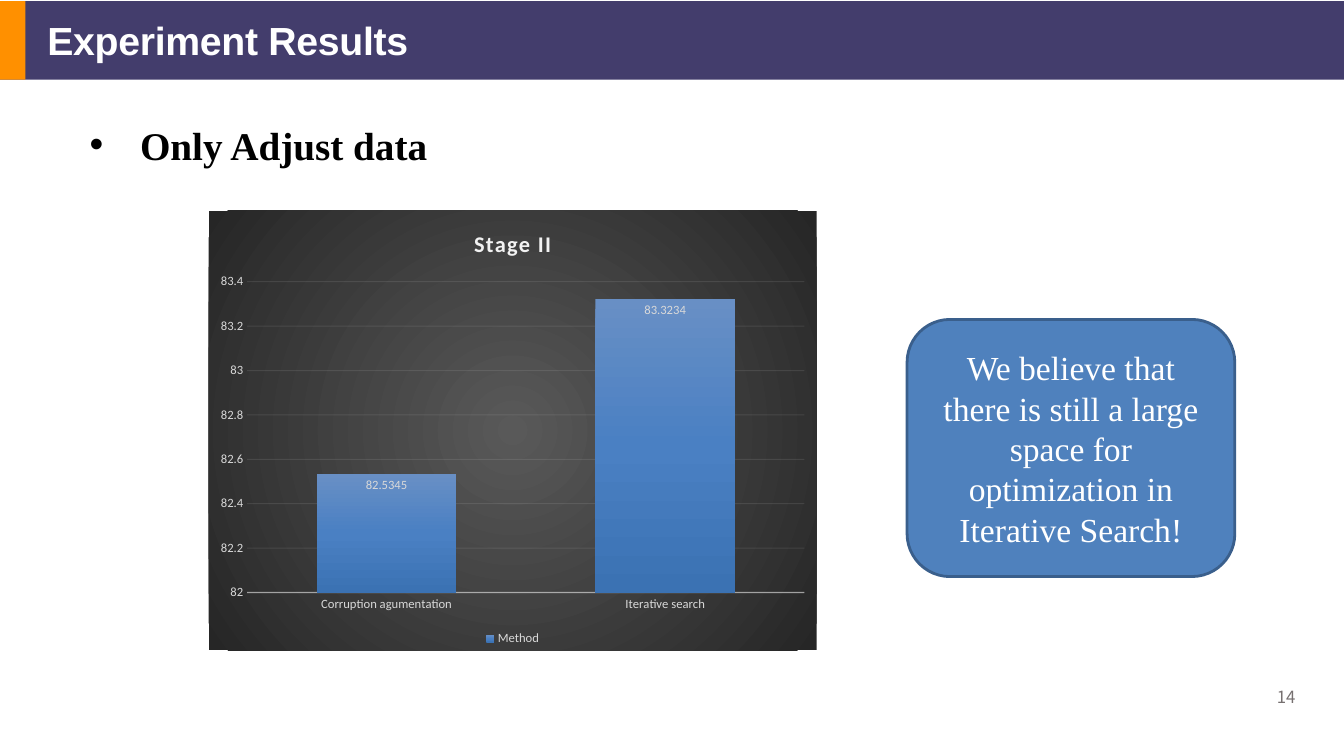
from dataclasses import dataclass

from pptx import Presentation, oxml, util as u
from pptx.chart.data import CategoryChartData
from pptx.dml.color import RGBColor
from pptx.enum import chart as charts, shapes, text
from pptx.oxml import ns


@dataclass(frozen=True)
class Theme:
    """Colours, fonts and type sizes of the slide."""
    bar: str = "433D6C"
    accent: str = "FF9000"
    white: str = "FFFFFF"
    black: str = "000000"
    page: str = "767070"
    callout: str = "4F81BD"
    callout_edge: str = "3A5F8C"
    chart_text: str = "D9D9D9"
    chart_bright: str = "F2F2F2"
    chart_back: tuple = ((0, "595959"), (100, "262626"))
    column: tuple = ((0, "688FC5"), (50, "4A80C3"), (100, "3B72B3"))
    heading_font: str = "Arial"
    body_font: str = "Times New Roman"
    chart_font: str = "Calibri"
    page_font: str = "Noto Sans CJK SC"
    heading_size: int = 28
    callout_size: int = 24
    chart_title_size: int = 16
    page_size: int = 12
    label_size: int = 9


THEME = Theme()


@dataclass(frozen=True)
class Box:
    """A rectangle in centimetres."""
    left: float
    top: float
    width: float
    height: float

    def lengths(self):
        """Return left, top, width and height as lengths."""
        return [u.Cm(value) for value in (self.left, self.top, self.width, self.height)]


def style_font(font, name, size, color, bold=False):
    """Set the face, size, colour and weight of a font."""
    font.name, font.size, font.bold = name, u.Pt(size), bold
    font.color.rgb = RGBColor.from_string(color)


def add_run(paragraph, words, *style):
    """Add one styled run to a paragraph."""
    run = paragraph.add_run()
    run.text = words
    style_font(run.font, *style)
    return run


def add_panel(slide, kind, box, color):
    """Add a plain filled shape without outline or shadow."""
    shape = slide.shapes.add_shape(kind, *box.lengths())
    shape.shadow.inherit = False
    shape.fill.solid()
    shape.fill.fore_color.rgb = RGBColor.from_string(color)
    shape.line.fill.background()
    return shape


def gradient(stops, direction):
    """Build a gradient fill element from stops and a direction element."""
    marks = "".join(f'<a:gs pos="{place * 1000}"><a:srgbClr val="{color}"/></a:gs>'
                    for place, color in stops)
    return oxml.parse_xml(f'<a:gradFill {ns.nsdecls("a")} rotWithShape="1">'
                          f'<a:gsLst>{marks}</a:gsLst>{direction}</a:gradFill>')


def style_line(line, color, width, opacity):
    """Give a line a translucent colour."""
    line.width = u.Pt(width)
    line.color.rgb = RGBColor.from_string(color)
    swatch = line.fill._xPr.find(".//" + ns.qn("a:srgbClr"))
    oxml.parse_xml
    swatch.append(oxml.parse_xml(f'<a:alpha {ns.nsdecls("a")} val="{opacity * 1000}"/>'))


def add_header(slide, box, words):
    """Draw the header bar with its accent and place the title on it."""
    rectangle = shapes.MSO_SHAPE.RECTANGLE
    add_panel(slide, rectangle, box, THEME.bar)
    add_panel(slide, rectangle, Box(box.left, box.top, 0.64, box.height), THEME.accent)
    title = slide.shapes.title
    title.element.getparent().append(title.element)
    title.left, title.top, title.width, title.height = Box(
        box.left + 0.94, box.top + 0.25, 24.71, box.height - 0.53).lengths()
    frame = title.text_frame
    frame.vertical_anchor = text.MSO_ANCHOR.TOP
    frame.auto_size = text.MSO_AUTO_SIZE.NONE
    paragraph = frame.paragraphs[0]
    paragraph.alignment = text.PP_ALIGN.LEFT
    paragraph.space_before = u.Pt(1)
    run = add_run(paragraph, words, THEME.heading_font, THEME.heading_size, THEME.white, True)
    run.font._element.set("spc", "-20")


def add_bullet(slide, box, words):
    """Add the bulleted heading."""
    frame = slide.shapes.add_textbox(*box.lengths()).text_frame
    frame.word_wrap = True
    paragraph = frame.paragraphs[0]
    add_run(paragraph, words, THEME.body_font, THEME.heading_size, THEME.black, True)
    properties = paragraph._p.get_or_add_pPr()
    properties.set("marL", str(u.Cm(1.27)))
    properties.set("indent", str(u.Cm(-1.27)))
    for mark in ('buFont {} typeface="Arial"', 'buChar {} char="•"'):
        properties.append(oxml.parse_xml(f'<a:{mark.format(ns.nsdecls("a"))}/>'))


def style_axis(axis):
    """Remove tick marks and style the labels of an axis."""
    axis.major_tick_mark = axis.minor_tick_mark = charts.XL_TICK_MARK.NONE
    style_font(axis.tick_labels.font, THEME.chart_font, THEME.label_size, THEME.chart_text)


def add_result_chart(slide, box, heading, series_name, results):
    """Add the column chart that compares the methods."""
    data = CategoryChartData()
    data.categories = list(results)
    data.add_series(series_name, list(results.values()))
    chart = slide.shapes.add_chart(
        charts.XL_CHART_TYPE.COLUMN_CLUSTERED, *box.lengths(), data).chart
    style_font(chart.font, THEME.chart_font, 10, THEME.black)
    backdrop = oxml.parse_xml(f'<c:spPr {ns.nsdecls("c", "a")}/>')
    backdrop.append(gradient(THEME.chart_back, '<a:path path="circle"><a:fillToRect '
                             'l="50000" t="50000" r="50000" b="50000"/></a:path>'))
    backdrop.append(oxml.parse_xml(f'<a:ln {ns.nsdecls("a")}><a:noFill/></a:ln>'))
    chart._chartSpace.find(ns.qn("c:chart")).addnext(backdrop)

    chart.has_title = True
    title_run = add_run(chart.chart_title.text_frame.paragraphs[0], heading, THEME.chart_font,
                        THEME.chart_title_size, THEME.chart_bright, True)
    title_run.font._element.set("spc", "100")
    chart.chart_title.include_in_layout = False
    chart.has_legend = True
    chart.legend.position = charts.XL_LEGEND_POSITION.BOTTOM
    chart.legend.include_in_layout = False
    style_font(chart.legend.font, THEME.chart_font, THEME.label_size, THEME.chart_text)

    style_axis(chart.category_axis)
    style_line(chart.category_axis.format.line, THEME.chart_bright, 1, 54)
    values = chart.value_axis
    style_axis(values)
    values.minimum_scale, values.maximum_scale, values.major_unit = 82, 83.4, 0.2
    values.format.line.fill.background()
    style_line(values.major_gridlines.format.line, THEME.chart_bright, 0.75, 10)

    plot = chart.plots[0]
    plot.vary_by_categories = False
    plot.gap_width, plot.overlap = 100, -24
    series = plot.series[0]
    series.format.line.fill.background()
    series._element.get_or_add_spPr().insert(
        0, gradient(THEME.column, '<a:lin ang="5400000" scaled="0"/>'))
    labels = series.data_labels
    labels.show_value = True
    labels.position = charts.XL_LABEL_POSITION.INSIDE_END
    style_font(labels.font, THEME.chart_font, THEME.label_size, THEME.chart_text)


def add_callout(slide, box, words):
    """Add the rounded box with the conclusion."""
    callout = add_panel(slide, shapes.MSO_SHAPE.ROUNDED_RECTANGLE, box, THEME.callout)
    callout.line.color.rgb = RGBColor.from_string(THEME.callout_edge)
    callout.line.width = u.Pt(2)
    frame = callout.text_frame
    frame.word_wrap = True
    frame.vertical_anchor = text.MSO_ANCHOR.MIDDLE
    paragraph = frame.paragraphs[0]
    paragraph.alignment = text.PP_ALIGN.CENTER
    add_run(paragraph, words, THEME.body_font, THEME.callout_size, THEME.white)


def add_page_number(slide, box, number):
    """Add the page number."""
    frame = slide.shapes.add_textbox(*box.lengths()).text_frame
    frame.word_wrap = True
    frame.margin_left, frame.margin_top = u.Cm(0.1), u.Cm(0.08)
    frame.margin_right = frame.margin_bottom = 0
    paragraph = frame.paragraphs[0]
    paragraph.space_before = u.Pt(1.9)
    add_run(paragraph, number, THEME.page_font, THEME.page_size, THEME.page)


def main():
    """Build the slide and save it."""
    presentation = Presentation()
    presentation.slide_width, presentation.slide_height = u.Cm(33.87), u.Cm(19.05)
    slide = presentation.slides.add_slide(presentation.slide_layouts.get_by_name("Title Only"))
    add_header(slide, Box(0, 0.03, 33.87, 1.98), "Experiment Results")
    add_page_number(slide, Box(32.08, 17.22, 0.89, 0.58), "14")
    add_bullet(slide, Box(2.01, 2.92, 26.77, 1.45), "Only Adjust data")
    add_result_chart(slide, Box(5.26, 5.31, 15.32, 11.07), "Stage II", "Method",
                     {"Corruption agumentation": 82.5345, "Iterative search": 83.3234})
    add_callout(slide, Box(22.86, 8.05, 8.26, 6.48), "We believe that there is still a large "
                "space for optimization in Iterative Search!")
    presentation.save("out.pptx")


if __name__ == "__main__":
    main()
